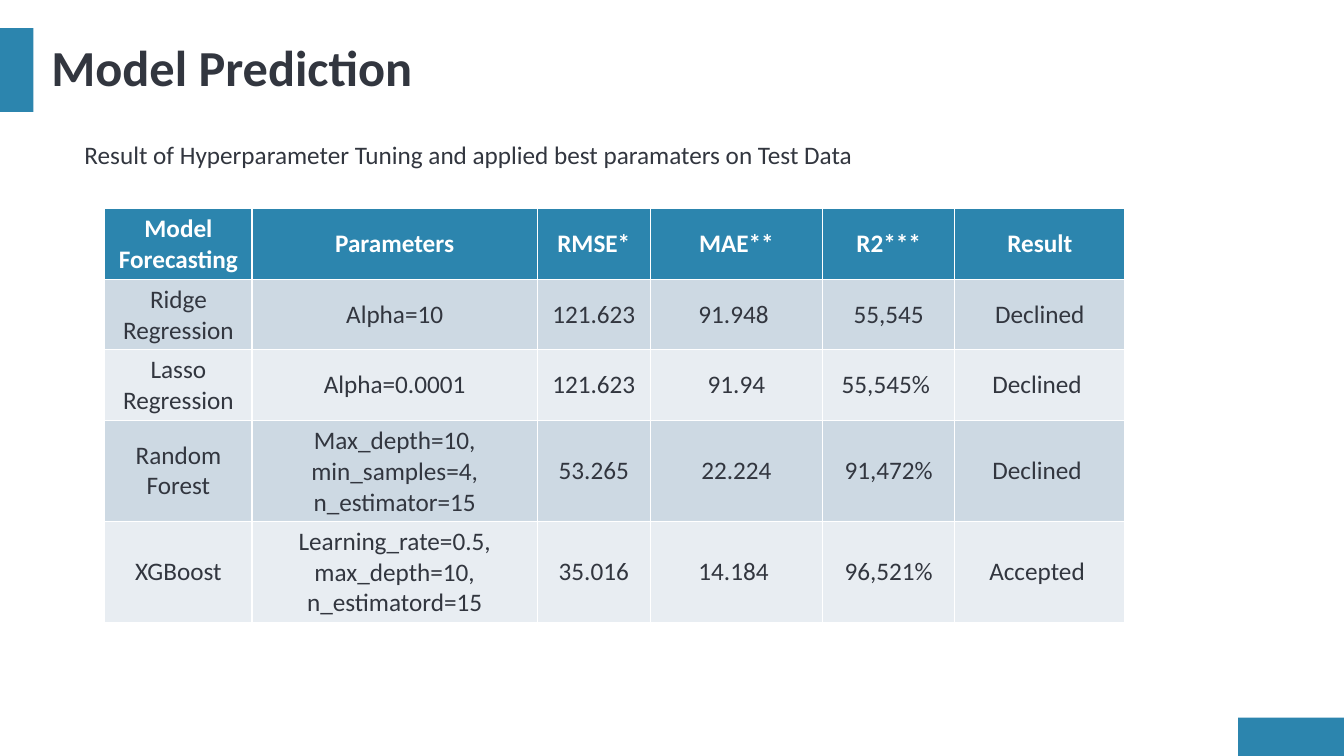
"""Build the model prediction slide with its table of tuning results."""
from dataclasses import dataclass

from pptx import Presentation
from pptx.dml.color import RGBColor as Rgb
from pptx.enum.shapes import MSO_SHAPE as Preset
from pptx.enum.text import MSO_ANCHOR as Anchor, MSO_AUTO_SIZE as AutoSize, PP_ALIGN as Align
from pptx.slide import Slide
from pptx.util import Inches, Pt

WIDTH, HEIGHT = 13.33, 7.5
FONT = "Calibri"
ACCENT, INK, WHITE = "2C85AE", "32363F", "FFFFFF"
BANDS = ("CDD9E3", "E8EDF2")
COLUMNS = (1.46, 2.83, 1.12, 1.71, 1.31, 1.69)
LINE, PADDING = 0.3, 0.1
HEADINGS = ("Model Forecasting", "Parameters", "RMSE*", "MAE**", "R2***", "Result")


@dataclass(frozen=True)
class Box:
    """Place of an element, as shares of the slide's size."""
    left: float
    top: float
    width: float
    height: float

    def emu(self) -> tuple[int, int, int, int]:
        """Return left, top, width and height in slide units."""
        return (Inches(self.left * WIDTH), Inches(self.top * HEIGHT),
                Inches(self.width * WIDTH), Inches(self.height * HEIGHT))


@dataclass(frozen=True)
class Caption:
    """A line of text on the slide."""
    text: str
    box: Box
    size: int
    bold: bool = False
    anchor: Anchor = Anchor.TOP
    spacing: float = 1.0
    autosize: AutoSize = AutoSize.NONE


@dataclass(frozen=True)
class Model:
    """One tuned model, with the lines its table row takes."""
    cells: tuple[str, ...]
    lines: int


ACCENT_BARS = (Box(0.9212, 0.9493, 0.0788, 0.0507), Box(0, 0.0373, 0.0248, 0.1107))
CAPTIONS = (
    Caption("Model Prediction", Box(0.0308, 0.0373, 0.9452, 0.1107), 36, True, Anchor.MIDDLE, 0.9),
    Caption("Result of Hyperparameter Tuning and applied best paramaters on Test Data",
            Box(0.0555, 0.1773, 0.6369, 0.0533), 18, autosize=AutoSize.SHAPE_TO_FIT_TEXT),
)
RESULTS_BOX = Box(0.078, 0.276, 0.7592, 0.5467)
MODELS = (
    Model(("Ridge Regression", "Alpha=10", "121.623", "91.948 ", "55,545", "Declined"), 2),
    Model(("Lasso Regression", "Alpha=0.0001", "121.623", "91.94", "55,545% ", "Declined "), 2),
    Model(("Random Forest", "Max_depth=10,\nmin_samples=4,\nn_estimator=15",
           "53.265", "22.224", "91,472%", "Declined "), 3),
    Model(("XGBoost", "Learning_rate=0.5, max_depth=10,\nn_estimatord=15",
           "35.016", "14.184 ", "96,521%", "Accepted "), 3),
)


def paint(target, colour: str) -> None:
    """Give a fill one solid colour."""
    target.solid()
    target.fore_color.rgb = Rgb.from_string(colour)


def style(paragraph, size: int, colour: str, bold: bool) -> None:
    """Set the font of a paragraph."""
    font = paragraph.font
    font.name, font.size, font.bold = FONT, Pt(size), bold
    font.color.rgb = Rgb.from_string(colour)


def draw_bar(slide: Slide, box: Box) -> None:
    """Draw an accent bar at the slide's edge."""
    bar = slide.shapes.add_shape(Preset.RECTANGLE, *box.emu())
    bar.shadow.inherit = False
    paint(bar.fill, ACCENT)
    bar.line.fill.background()


def draw_caption(slide: Slide, caption: Caption) -> None:
    """Draw a caption in a wrapping text box."""
    frame = slide.shapes.add_textbox(*caption.box.emu()).text_frame
    frame.word_wrap = True
    frame.auto_size = caption.autosize
    frame.vertical_anchor = caption.anchor
    line = frame.paragraphs[0]
    line.text = caption.text
    line.line_spacing = caption.spacing
    style(line, caption.size, INK, caption.bold)


def draw_results(slide: Slide) -> None:
    """Draw the table with a heading row and banded models."""
    entries = (Model(HEADINGS, 2), *MODELS)
    results = slide.shapes.add_table(len(entries), len(COLUMNS), *RESULTS_BOX.emu()).table
    for column, width in zip(results.columns, COLUMNS):
        column.width = Inches(width)
    for index, (row, entry) in enumerate(zip(results.rows, entries)):
        heading = index == 0
        row.height = Inches(entry.lines * LINE + PADDING)
        for cell, text in zip(row.cells, entry.cells):
            cell.text = text
            cell.vertical_anchor = Anchor.MIDDLE
            paint(cell.fill, ACCENT if heading else BANDS[(index - 1) % 2])
            for paragraph in cell.text_frame.paragraphs:
                paragraph.alignment = Align.CENTER
                style(paragraph, 18, WHITE if heading else INK, heading)


def main() -> None:
    """Build and save the slide."""
    deck = Presentation()
    deck.slide_width, deck.slide_height = Inches(WIDTH), Inches(HEIGHT)
    slide = deck.slides.add_slide(deck.slide_layouts[6])
    paint(slide.background.fill, WHITE)
    for box in ACCENT_BARS:
        draw_bar(slide, box)
    for caption in CAPTIONS:
        draw_caption(slide, caption)
    draw_results(slide)
    deck.save("out.pptx")


if __name__ == "__main__":
    main()
